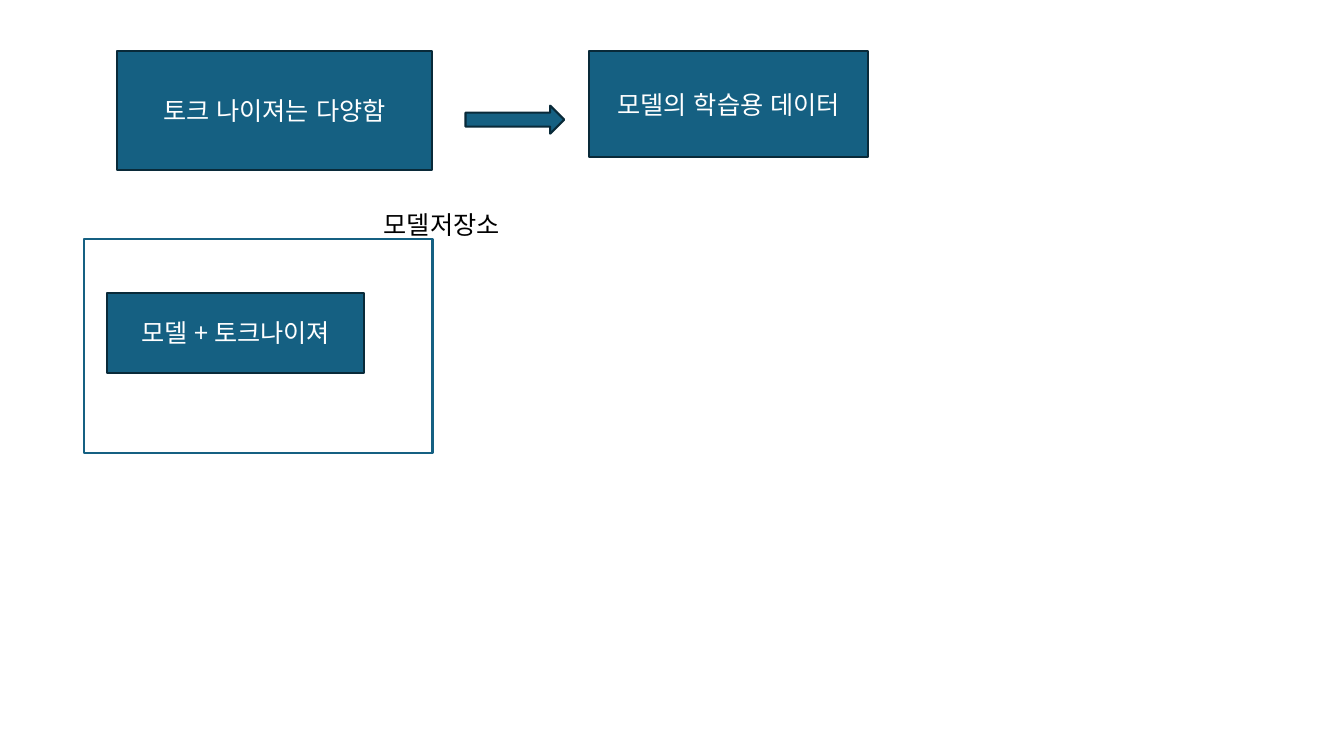
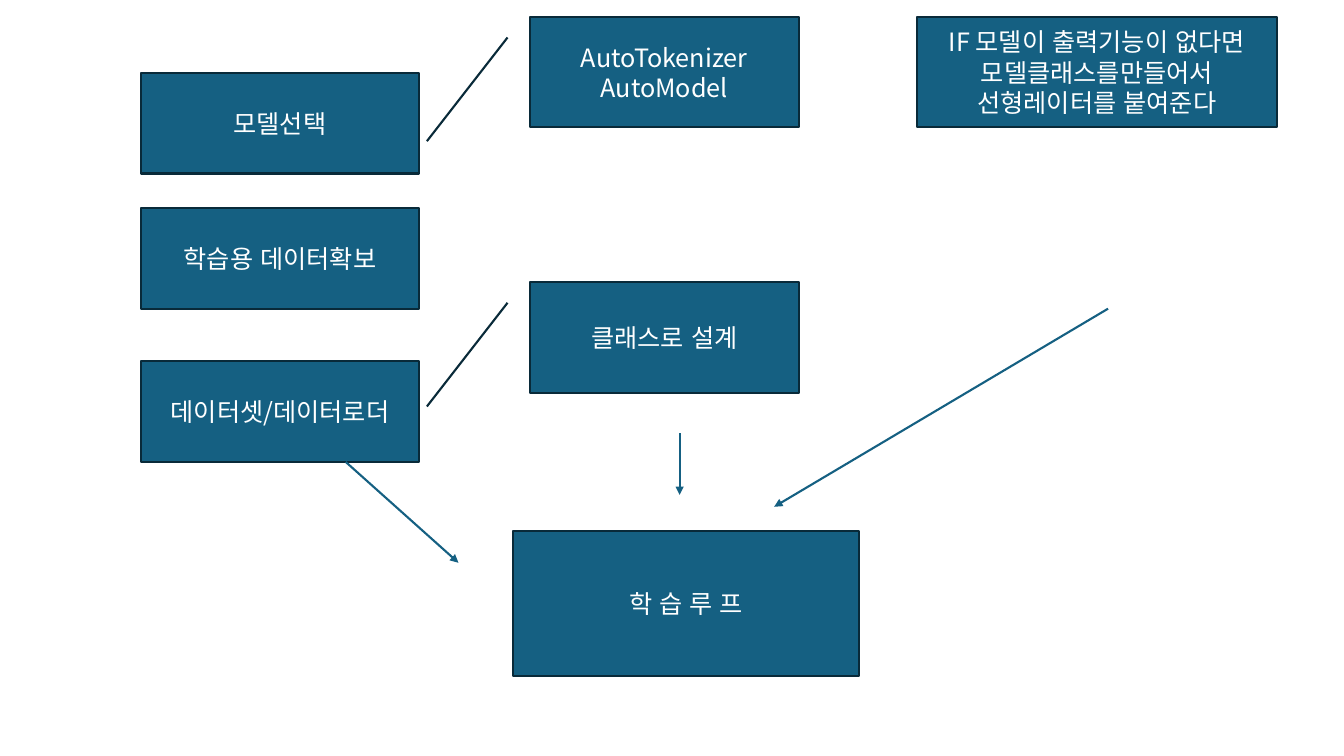
import dataclasses
import pptx
import pptx.dml.color
import pptx.enum.lang
import pptx.enum.shapes
import pptx.enum.text
import pptx.oxml
import pptx.oxml.ns
import pptx.util
import lxml.etree

SHAPES = pptx.enum.shapes.MSO_SHAPE
ALIGN = pptx.enum.text.PP_ALIGN
ANCHOR = pptx.enum.text.MSO_ANCHOR
AUTO_SIZE = pptx.enum.text.MSO_AUTO_SIZE


@dataclasses.dataclass(frozen=True)
class Theme:
    accent: str = "156082"
    edge: str = "092A39"
    paper: str = "FFFFFF"
    ink: str = "000000"
    font: str = "Noto Sans CJK KR"
    text_size: float = 18
    line_width: float = 1.5


THEME = Theme()


@dataclasses.dataclass(frozen=True)
class Box:
    """A rectangle in points."""
    left: float
    top: float
    width: float
    height: float

    def inner(self, left, top, width, height):
        return Box(self.left + left, self.top + top, width, height)

    def point(self, left, top):
        return self.left + left, self.top + top

    def lengths(self):
        return [pptx.util.Pt(value) for value in dataclasses.astuple(self)]


def rgb(colour):
    return pptx.dml.color.RGBColor.from_string(colour)


def apply_format(target, values):
    for name, value in values.items():
        setattr(target, name, value)


# Shared parts

def write(frame, text, colour, align):
    para = frame.paragraphs[0]
    para.text = text
    para.alignment = align
    for span in para.runs:
        apply_format(span.font, {
            "name": THEME.font,
            "size": pptx.util.Pt(THEME.text_size),
            "language_id": pptx.enum.lang.MSO_LANGUAGE_ID.KOREAN,
        })
        span.font.color.rgb = rgb(colour)
        east_asian = lxml.etree.SubElement(
            span.font._element, pptx.oxml.ns.qn("a:ea"))
        east_asian.set("typeface", THEME.font)


def add_block(page, box, text="", kind=SHAPES.RECTANGLE,
              fill=THEME.accent, edge=THEME.edge):
    block = page.shapes.add_shape(kind, *box.lengths())
    block.shadow.inherit = False
    block.fill.solid()
    block.fill.fore_color.rgb = rgb(fill)
    block.line.color.rgb = rgb(edge)
    block.line.width = pptx.util.Pt(THEME.line_width)
    if text:
        apply_format(block.text_frame, {
            "word_wrap": True, "vertical_anchor": ANCHOR.MIDDLE})
        write(block.text_frame, text, THEME.paper, ALIGN.CENTER)
    return block


def add_label(page, box, text):
    label = page.shapes.add_textbox(*box.lengths())
    apply_format(label.text_frame, {
        "word_wrap": True, "auto_size": AUTO_SIZE.SHAPE_TO_FIT_TEXT})
    write(label.text_frame, text, THEME.ink, ALIGN.LEFT)


def add_arrow(page, start, end):
    arrow = page.shapes.add_connector(
        pptx.enum.shapes.MSO_CONNECTOR.STRAIGHT,
        *[pptx.util.Pt(value) for value in (*start, *end)])
    arrow.line.color.rgb = rgb(THEME.accent)
    arrow.line.width = pptx.util.Pt(THEME.line_width)
    qn = pptx.oxml.ns.qn
    outline = arrow.line._get_or_add_ln()
    lxml.etree.SubElement(outline, qn("a:tailEnd")).set("type", "triangle")
    lxml.etree.SubElement(arrow._element.spPr, qn("a:effectLst"))


# Slide 1: tokenizers and models

def draw_model_hub(page, box):
    add_block(page, box, fill=THEME.paper, edge=THEME.accent)
    add_block(page, box.inner(16.5, 38.5, 183.5, 57.5), "모델 + 토크나이져")
    add_label(page, box.inner(207, -24.5, 121, 29), "모델저장소")


def draw_data_flow(page, box):
    add_block(page, box.inner(0, 0, 225, box.height), "토크 나이져는 다양함")
    add_block(page, box.inner(249, 39, 70.5, 20), kind=SHAPES.RIGHT_ARROW)
    add_block(page, box.inner(box.width - 199, 0, 199, 75.5),
              "모델의 학습용 데이터")


def build_tokenizer_slide(page):
    draw_model_hub(page, Box(60, 170.5, 249, 153))
    draw_data_flow(page, Box(83.5, 36.5, 536.5, 85))


# Slide 2: steps of training

def draw_steps(page, box):
    steps = {0: "모델선택", 96.5: "학습용 데이터확보",
             206: "데이터셋/데이터로더"}
    for top, text in steps.items():
        add_block(page, box.inner(0, top, box.width, 72), text)


def draw_callouts(page, box):
    callouts = {0: "AutoTokenizer\nAutoModel", 189.5: "클래스로 설계"}
    for top, text in callouts.items():
        add_block(page, box.inner(0, top, box.width, 79), text,
                  kind=SHAPES.LINE_CALLOUT_1)


def draw_training_loop(page, box):
    add_block(page, box, "학 습 루 프")
    # Arrows from the steps, the class design and the model condition
    for start, end in (((-119.5, -49.5), (-39, 22.5)),
                       ((119, -70), (119, -26)),
                       ((425, -159), (186.5, -17.5))):
        add_arrow(page, box.point(*start), box.point(*end))


def build_training_slide(page):
    draw_steps(page, Box(101, 52, 198, 278))
    draw_callouts(page, Box(378.5, 12, 192, 268.5))
    add_block(page, Box(655, 12, 257, 79),
              "IF 모델이 출력기능이 없다면 모델클래스를만들어서 "
              "선형레이터를 붙여준다")
    draw_training_loop(page, Box(366.5, 379.5, 247, 103.5))


def main():
    deck = pptx.Presentation()
    deck.slide_width = pptx.util.Pt(960)
    deck.slide_height = pptx.util.Pt(540)
    blank = deck.slide_layouts.get_by_name("Blank")
    for build in (build_tokenizer_slide, build_training_slide):
        build(deck.slides.add_slide(blank))
    deck.save("out.pptx")


if __name__ == "__main__":
    main()
